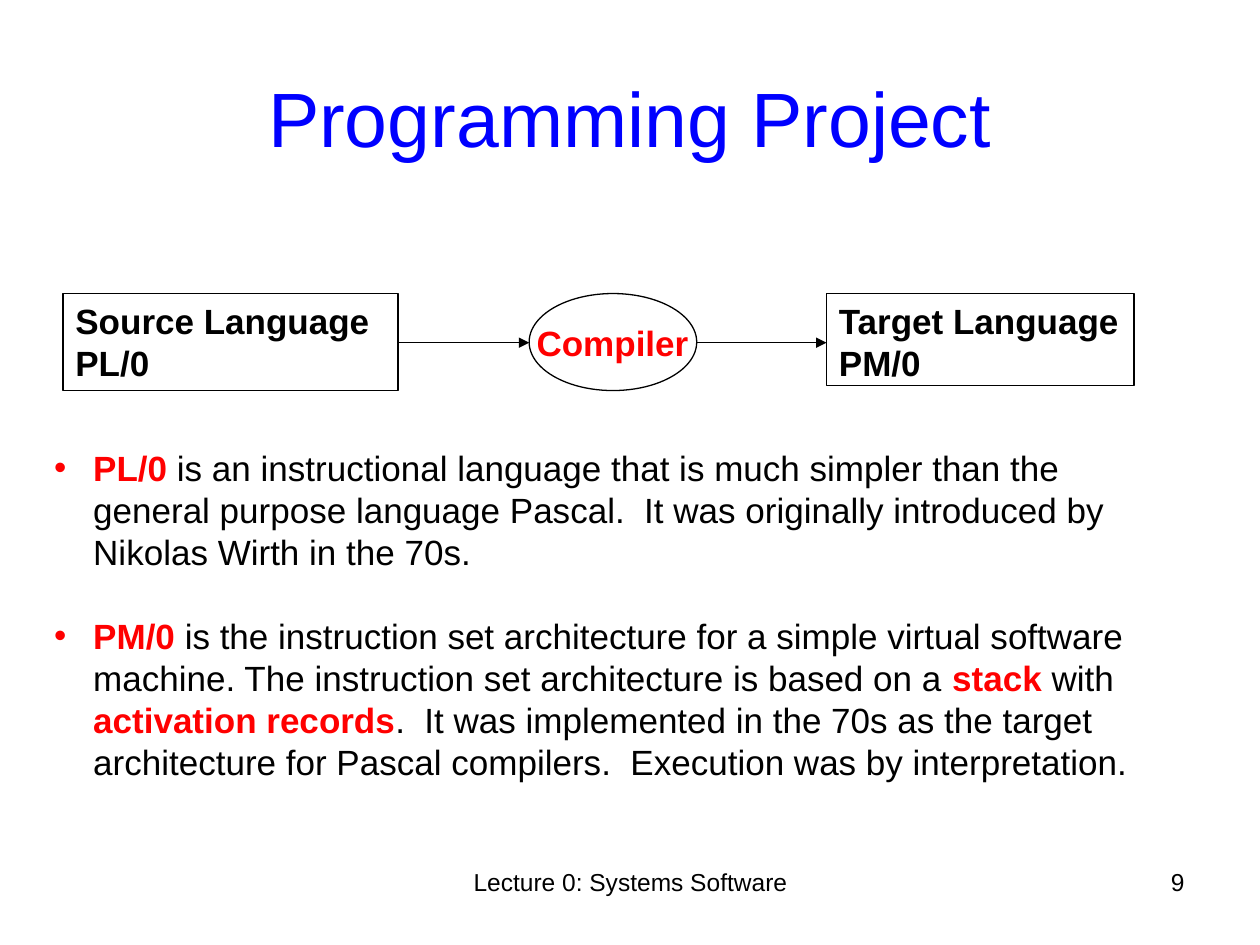
from dataclasses import dataclass
from typing import Any

from lxml import etree
from pptx import Presentation
from pptx import util as u
from pptx.dml.color import RGBColor
from pptx.enum import shapes, text
from pptx.oxml.ns import qn

In, Pt = u.Inches, u.Pt
AL, ANC, SHAPE = text.PP_ALIGN, text.MSO_ANCHOR, shapes.MSO_SHAPE


@dataclass(frozen=True)
class Theme:
    font: str = "Arial"
    ink: RGBColor = RGBColor(0, 0, 0)
    accent: RGBColor = RGBColor(255, 0, 0)
    heading: RGBColor = RGBColor(0, 0, 255)
    title: int = 44
    body: int = 20
    footer: int = 14
    line: float = 0.75


T = Theme()


@dataclass(frozen=True)
class Stage:
    lines: tuple[str, ...]
    shape: Any
    left: float
    width: float
    height: float
    text_left: float
    text_top: float
    text_width: float
    color: RGBColor


STAGE_TOP, ARROW_Y = 2.33, 2.72
STAGES = [
    Stage(("Source Language", "PL/0"), SHAPE.RECTANGLE, 0.5, 2.66, 0.77, 0.5, 2.33, 2.56, T.ink),
    Stage(("Compiler",), SHAPE.OVAL, 4.2, 1.33, 0.77, 4.16, 2.5, 1.42, T.accent),
    Stage(("Target Language", "PM/0"), SHAPE.RECTANGLE, 6.56, 2.44, 0.73, 6.56, 2.33, 2.44, T.ink),
]

# Each bullet is a list of (text, is key term)
BULLETS = [
    [("PL/0", True),
     (" is an instructional language that is much simpler than the general purpose "
      "language Pascal.  It was originally introduced by Nikolas Wirth in the 70s.", False)],
    [("PM/0", True),
     (" is the instruction set architecture for a simple virtual software machine. "
      "The instruction set architecture is based on a ", False),
     ("stack", True), (" with ", False), ("activation records", True),
     (".  It was implemented in the 70s as the target architecture for Pascal compilers.  "
      "Execution was by interpretation.", False)],
]


def add_run(p: Any, content: str, *, size: float = T.body, color: RGBColor = T.ink,
            bold: bool = False) -> None:
    r = p.add_run()
    r.text = content
    r.font.name, r.font.size, r.font.bold = T.font, Pt(size), bold
    r.font.color.rgb = color


def place(sp: Any, left: float, top: float, width: float, height: float) -> None:
    sp.left, sp.top, sp.width, sp.height = In(left), In(top), In(width), In(height)


def add_label(s: Any, lines: tuple[str, ...], left: float, top: float, width: float,
              height: float, *, align: Any = AL.LEFT, wrap: bool = True, **fmt: Any) -> None:
    tf = s.shapes.add_textbox(In(left), In(top), In(width), In(height)).text_frame
    tf.word_wrap = wrap
    if not wrap:
        tf.auto_size = text.MSO_AUTO_SIZE.SHAPE_TO_FIT_TEXT
    for i, line in enumerate(lines):
        p = tf.paragraphs[0] if i == 0 else tf.add_paragraph()
        p.alignment = align
        add_run(p, line, **fmt)


def add_stage(s: Any, stage: Stage) -> None:
    sp = s.shapes.add_shape(stage.shape, In(stage.left), In(STAGE_TOP),
                            In(stage.width), In(stage.height))
    sp.shadow.inherit = False
    sp.fill.background()
    sp.line.color.rgb, sp.line.width = T.ink, Pt(T.line)
    add_label(s, stage.lines, stage.text_left, stage.text_top, stage.text_width,
              0.1 + len(stage.lines) / 3, wrap=False, color=stage.color, bold=True)


def add_arrow(s: Any, start: float, end: float) -> None:
    c = s.shapes.add_connector(shapes.MSO_CONNECTOR.STRAIGHT, In(start), In(ARROW_Y),
                               In(end), In(ARROW_Y))
    c.line.color.rgb, c.line.width = T.ink, Pt(T.line)
    etree.SubElement(c.line._get_or_add_ln(), qn("a:tailEnd"), type="triangle")
    etree.SubElement(c._element.spPr, qn("a:effectLst"))


def set_bullet(p: Any) -> None:
    pPr = p._p.get_or_add_pPr()
    pPr.set("marL", str(In(0.31)))
    pPr.set("indent", str(-In(0.31)))
    etree.SubElement(pPr, qn("a:buFont"), typeface=T.font)
    etree.SubElement(pPr, qn("a:buChar"), char="•")


prs = Presentation()
prs.slide_width, prs.slide_height = In(10), In(7.5)
s = prs.slides.add_slide(prs.slide_layouts[1])

# Title
title = s.shapes.title
place(title, 0.5, 0.3, 9, 1.25)
title.text_frame.vertical_anchor = ANC.MIDDLE
p = title.text_frame.paragraphs[0]
p.alignment = AL.CENTER
add_run(p, "Programming Project", size=T.title, color=T.heading)

# Compilation pipeline
for stage in STAGES:
    add_stage(s, stage)
for a, b in zip(STAGES, STAGES[1:]):
    add_arrow(s, a.left + a.width, b.left)

# Explanations
body = s.placeholders[1]
place(body, 0.33, 3.49, 8.75, 2.79)
tf = body.text_frame
tf.auto_size, tf.vertical_anchor = text.MSO_AUTO_SIZE.NONE, ANC.TOP
for i, bullet in enumerate(BULLETS):
    p = tf.paragraphs[0] if i == 0 else tf.add_paragraph()
    p.space_before = Pt(24 if i else 0)
    set_bullet(p)
    for content, key in bullet:
        add_run(p, content, color=T.accent if key else T.ink, bold=key)

# Footer
add_label(s, ("Lecture 0: Systems Software",), 3.42, 6.83, 3.17, 0.52,
          align=AL.CENTER, size=T.footer)
add_label(s, ("9",), 7.17, 6.83, 2.33, 0.52, align=AL.RIGHT, size=T.footer)

prs.save("out.pptx")
